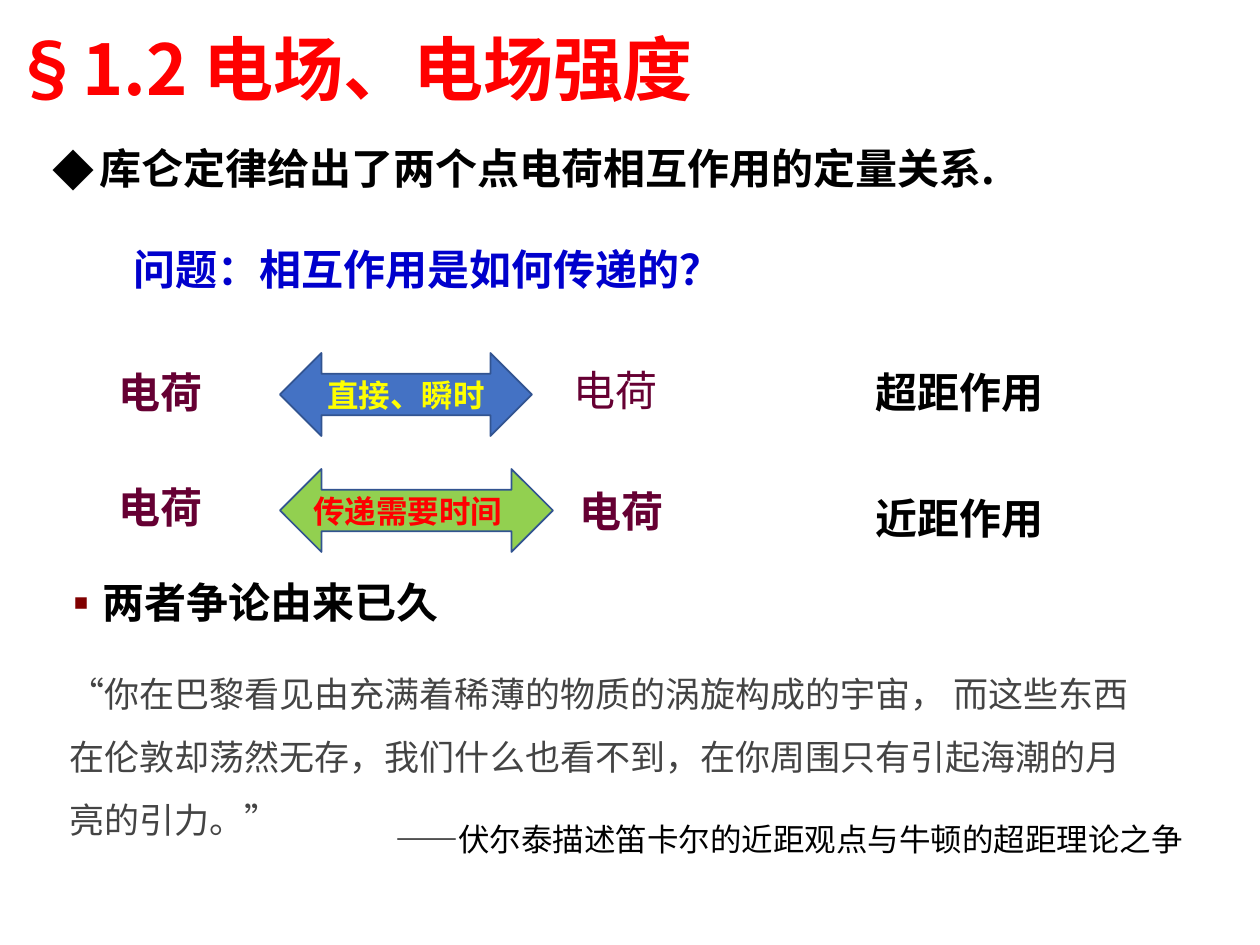
from lxml.etree import SubElement
from pptx import Presentation
from pptx.dml.color import RGBColor
from pptx.enum.shapes import MSO_SHAPE as Shape
from pptx.enum.text import MSO_ANCHOR as Anchor, PP_ALIGN as Align
from pptx.oxml.ns import qn
from pptx.util import Emu, Pt

FONT = "Noto Sans CJK SC"
BLACK, PLUM = "000000", "660033"


def px(count):
    """Turn pixels, 126 to the inch, into EMU."""
    return Emu(round(count * 914400 / 126))


def color(value):
    """Turn a hex string into a colour."""
    return RGBColor.from_string(value)


def add_bullet(para, symbol, hang, tint):
    """Give a paragraph a coloured bullet with a hanging indent."""
    props = para._p.get_or_add_pPr()
    props.set("marL", str(px(hang)))
    props.set("indent", str(-px(hang)))
    bullet_color = SubElement(props, qn("a:buClr"))
    SubElement(bullet_color, qn("a:srgbClr"), val=tint)
    SubElement(props, qn("a:buFont"), typeface=FONT)
    SubElement(props, qn("a:buChar"), char=symbol)


def style_text(para, size, tint, bold):
    """Set the font of a paragraph for Latin and Chinese text."""
    font = para.font
    font.size, font.bold, font.name = Pt(size), bold, FONT
    font.color.rgb = color(tint)
    defaults = para._p.pPr.find(qn("a:defRPr"))
    SubElement(defaults, qn("a:ea"), typeface=FONT)


def add_text(page, place, text, size=24, tint=BLACK, bold=True,
             spacing=None, bullet=None, anchor=Anchor.TOP, wrap=True):
    """Add a text box with one paragraph."""
    frame = page.shapes.add_textbox(*map(px, place)).text_frame
    frame.word_wrap = wrap
    frame.vertical_anchor = anchor
    para = frame.paragraphs[0]
    para.text = text
    if spacing:
        para.line_spacing = spacing
    if bullet:
        add_bullet(para, *bullet)
    style_text(para, size, tint, bold)


def add_arrow(page, place, text, fill, tint, align):
    """Add a labelled double arrow."""
    arrow = page.shapes.add_shape(Shape.LEFT_RIGHT_ARROW, *map(px, place))
    arrow.shadow.inherit = False
    arrow.fill.solid()
    arrow.fill.fore_color.rgb = color(fill)
    arrow.line.color.rgb = color("325491")
    arrow.line.width = Pt(1)
    para = arrow.text_frame.paragraphs[0]
    para.text = text
    para.alignment = align
    style_text(para, 18, tint, True)


def main():
    """Build the slide and save it."""
    deck = Presentation()
    deck.slide_width, deck.slide_height = px(1260), px(945)
    page = deck.slides.add_slide(deck.slide_layouts[6])

    add_text(page, (0, 20, 1125, 105), "§1.2 电场、电场强度", 40, "FF0000",
             spacing=0.9, anchor=Anchor.MIDDLE)
    add_text(page, (40, 142, 1245, 60), "库仑定律给出了两个点电荷相互作用的定量关系.",
             spacing=0.9, bullet=("◆", 47, BLACK))
    add_text(page, (121, 237, 764, 63), "问题：相互作用是如何传递的？", tint="0000CC")

    for top, text in ((360, "超距作用"), (486, "近距作用")):
        add_text(page, (863, top, 231, 63), text)
    for left, top, bold in ((106, 360, True), (561, 358, False),
                            (106, 475, True), (567, 479, True)):
        add_text(page, (left, top, 136, 64), "电荷", tint=PLUM, bold=bold)
    add_arrow(page, (280, 353, 252, 83), "直接、瞬时", "4472C4", "FFFF00", Align.CENTER)
    add_arrow(page, (280, 469, 273, 83), "传递需要时间", "92D050", "FF0000", Align.LEFT)

    add_text(page, (48, 570, 462, 63), "两者争论由来已久", bullet=("▪", 24, "800000"))
    add_text(page, (57, 645, 1106, 194),
             "“你在巴黎看见由充满着稀薄的物质的涡旋构成的宇宙， 而这些东西"
             "在伦敦却荡然无存，我们什么也看不到，在你周围只有引起海潮的月"
             "亮的引力。”", 20, "444444", False, spacing=1.5)
    add_text(page, (383, 814, 820, 50), "——伏尔泰描述笛卡尔的近距观点与牛顿的超距理论之争",
             18, bold=False, wrap=False)
    deck.save("out.pptx")


if __name__ == "__main__":
    main()
